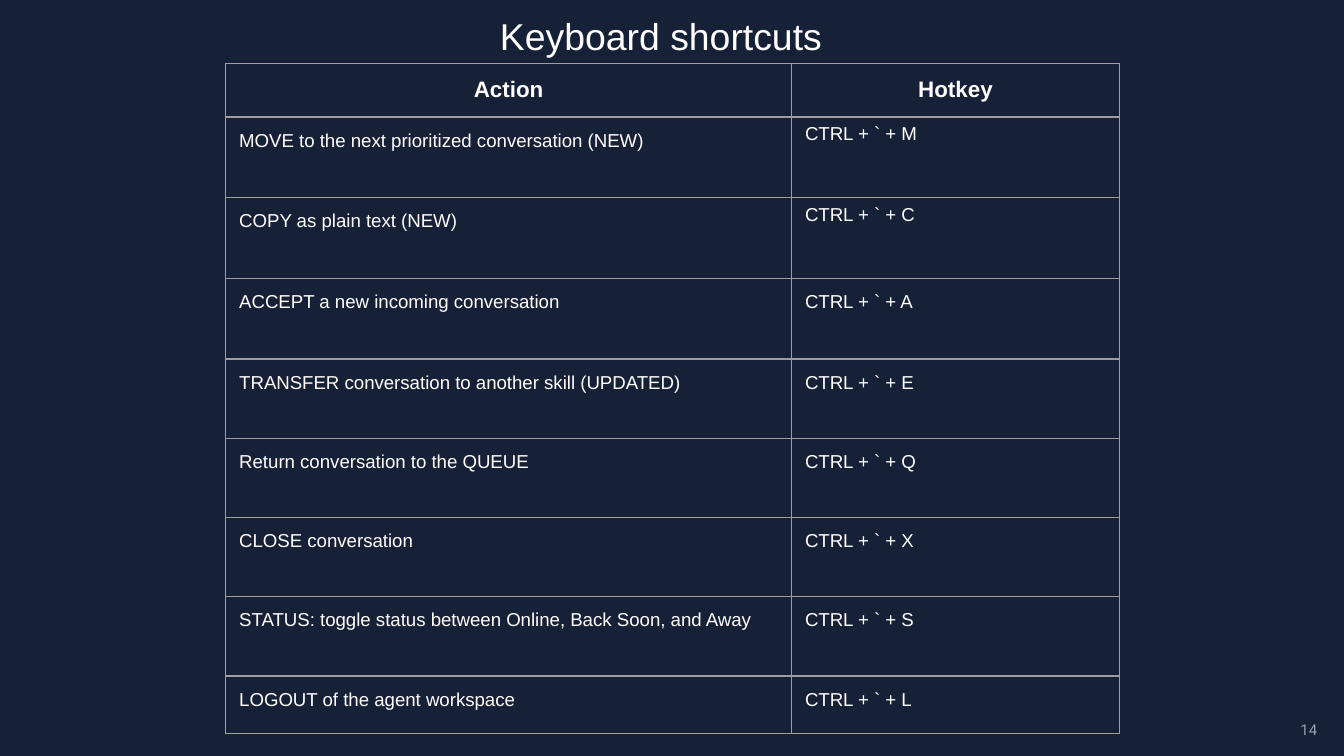
from lxml.etree import SubElement
from pptx import Presentation
from pptx.dml.color import RGBColor
from pptx.enum.text import MSO_ANCHOR, MSO_AUTO_SIZE, PP_ALIGN
from pptx.oxml.ns import qn
from pptx.util import Inches, Pt

COLORS = {"navy": "162036", "white": "FFFFFF", "grid": "9E9E9E", "muted": "99A2B5"}
SHORTCUTS = [
    ("MOVE to the next prioritized conversation (NEW)", "M"),
    ("COPY as plain text (NEW)", "C"),
    ("ACCEPT a new incoming conversation", "A"),
    ("TRANSFER conversation to another skill (UPDATED)", "E"),
    ("Return conversation to the QUEUE", "Q"),
    ("CLOSE conversation", "X"),
    ("STATUS: toggle status between Online, Back Soon, and Away", "S"),
    ("LOGOUT of the agent workspace", "L"),
]
ROW_HEIGHTS = [2.9] + [6] * 3 + [5.9] * 4 + [4.3]


def grid(units):
    """Length of a number of grid units; the slide is 100 columns wide."""
    return Inches(units / 10)


def write(frame, text, size=10, color="white", font="Arial", bold=False, align=PP_ALIGN.LEFT):
    paragraph = frame.paragraphs[0]
    paragraph.alignment = align
    run = paragraph.add_run()
    run.text = text
    run.font.size = Pt(size)
    run.font.name = font
    run.font.bold = bold
    run.font.color.rgb = RGBColor.from_string(COLORS[color])


def set_insets(target, horizontal, vertical):
    target.margin_left = target.margin_right = grid(horizontal)
    target.margin_top = target.margin_bottom = grid(vertical)


class SlideBuilder:
    def __init__(self, slide):
        self.slide = slide
        background = slide.background.fill
        background.solid()
        background.fore_color.rgb = RGBColor.from_string(COLORS["navy"])

    def title(self, text, left, top, width, height):
        heading = self.slide.shapes.title
        heading.left, heading.top = grid(left), grid(top)
        heading.width, heading.height = grid(width), grid(height)
        frame = heading.text_frame
        frame.auto_size = MSO_AUTO_SIZE.NONE
        frame.vertical_anchor = MSO_ANCHOR.TOP
        set_insets(frame, 0, 1)
        write(frame, text, size=20)

    def page_number(self, text, left, top, width, height):
        box = self.slide.shapes.add_textbox(grid(left), grid(top), grid(width), grid(height))
        frame = box.text_frame
        frame.word_wrap = True
        frame.vertical_anchor = MSO_ANCHOR.MIDDLE
        write(frame, text, size=8, color="muted", font="Roboto", align=PP_ALIGN.RIGHT)

    def table(self, left, top, widths, heights, frame_height):
        holder = self.slide.shapes.add_table(
            len(heights), len(widths), grid(left), grid(top),
            grid(sum(widths)), grid(frame_height))
        for column, width in zip(holder.table.columns, widths):
            column.width = grid(width)
        for row, height in zip(holder.table.rows, heights):
            row.height = grid(height)
        holder.height = grid(frame_height)
        return holder.table

    def cell(self, cell, text, inset=1, anchor=MSO_ANCHOR.TOP, **text_format):
        set_insets(cell, 1, inset)
        cell.vertical_anchor = anchor
        self.borders(cell)
        cell.fill.background()
        write(cell.text_frame, text, **text_format)

    def borders(self, cell):
        properties = cell._tc.get_or_add_tcPr()
        for side in ("lnL", "lnR", "lnT", "lnB"):
            line = SubElement(properties, qn(f"a:{side}"), w=str(Pt(0.75)))
            fill = SubElement(line, qn("a:solidFill"))
            SubElement(fill, qn("a:srgbClr"), val=COLORS["grid"])


def main():
    presentation = Presentation()
    presentation.slide_width, presentation.slide_height = grid(100), grid(56.25)
    builder = SlideBuilder(presentation.slides.add_slide(presentation.slide_layouts[5]))
    builder.page_number("14", 86.6, 52.2, 12.4, 4.1)
    builder.title("Keyboard shortcuts", 37.2, 0, 25.5, 5.5)

    table = builder.table(16.8, 4.7, [42.1, 24.4], ROW_HEIGHTS, frame_height=50.9)
    for column, heading in enumerate(("Action", "Hotkey")):
        builder.cell(table.cell(0, column), heading, anchor=MSO_ANCHOR.MIDDLE,
                     size=12, bold=True, align=PP_ALIGN.CENTER)
    for row, (action, key) in enumerate(SHORTCUTS, start=1):
        builder.cell(table.cell(row, 0), action)
        builder.cell(table.cell(row, 1), f"CTRL + ` + {key}", inset=0.5 if row <= 2 else 1)
    presentation.save("out.pptx")


if __name__ == "__main__":
    main()
